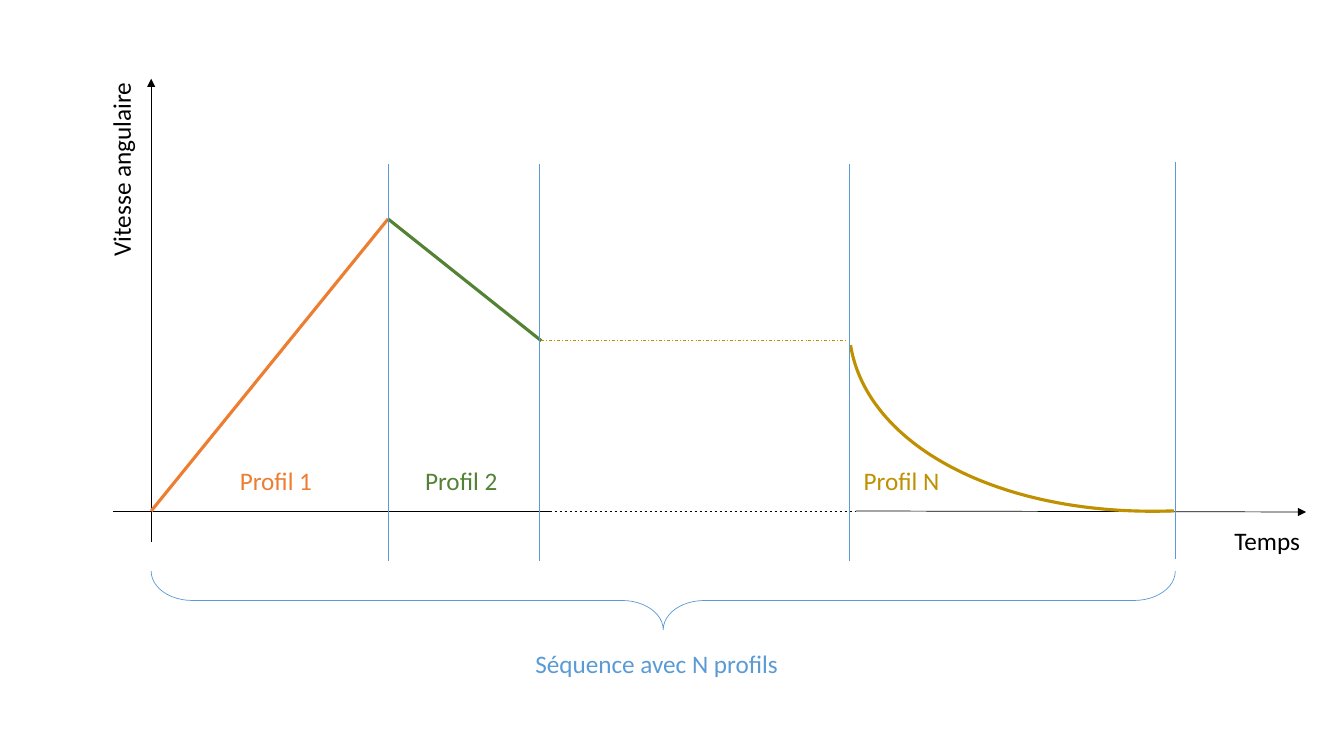
from collections import namedtuple
from pptx import Presentation
from pptx.dml.color import RGBColor
from pptx.enum.dml import MSO_LINE
from pptx.enum.shapes import MSO_CONNECTOR, MSO_SHAPE
from pptx.enum.text import MSO_ANCHOR, PP_ALIGN
from pptx.oxml.ns import qn
from pptx.util import Pt
from lxml.etree import SubElement

COLORS = {"ink": "000000", "first": "ED7D31", "second": "548235",
          "last": "BF9000", "sequence": "5B9BD5"}
THIN, THICK = 0.5, 2.25
LABEL_HEIGHT = 28.8

Box = namedtuple("Box", "left top width height")


def style_line(line, color, weight, dash=None):
    """Set the colour, weight and dash of a line."""
    line.color.rgb = RGBColor.from_string(COLORS[color])
    line.width = Pt(weight)
    if dash is not None:
        line.dash_style = dash


def add_line(slide, start, end, color="ink", weight=THIN, dash=None, arrow=False):
    """Draw a straight line, with an arrowhead at its end if asked."""
    segment = slide.shapes.add_connector(
        MSO_CONNECTOR.STRAIGHT, *(Pt(value) for value in (*start, *end)))
    style_line(segment.line, color, weight, dash)
    if arrow:
        SubElement(segment.line._get_or_add_ln(), qn("a:tailEnd"), type="triangle")
    SubElement(segment._element.spPr, qn("a:effectLst"))


def add_outline(slide, preset, box, color, weight, rotation, adjustments):
    """Draw an unfilled, rotated preset shape."""
    outline = slide.shapes.add_shape(preset, *(Pt(value) for value in box))
    outline.shadow.inherit = False
    outline.fill.background()
    outline.rotation = rotation
    for index, value in enumerate(adjustments):
        outline.adjustments[index] = value
    style_line(outline.line, color, weight)


def add_text(slide, text, box, color="ink", align=PP_ALIGN.LEFT, rotation=0, size=18):
    """Write one line of text in a box."""
    label = slide.shapes.add_textbox(*(Pt(value) for value in box))
    label.rotation = rotation
    frame = label.text_frame
    frame.word_wrap = True
    frame.vertical_anchor = MSO_ANCHOR.TOP
    paragraph = frame.paragraphs[0]
    paragraph.alignment = align
    run = paragraph.add_run()
    run.text = text
    run.font.name = "Calibri"
    run.font.size = Pt(size)
    run.font.color.rgb = RGBColor.from_string(COLORS[color])


def draw_axes(slide, plot, gap_start, gap_end):
    """Draw the speed and time axes; time is dashed across the gap."""
    base, right = plot.top + plot.height, plot.left + plot.width
    add_line(slide, (plot.left, base + 22), (plot.left, plot.top), arrow=True)
    add_line(slide, (plot.left - 27.4, base), (gap_start, base))
    add_line(slide, (gap_start, base), (gap_end, base), dash=MSO_LINE.DASH)
    add_line(slide, (gap_end, base), (right, base + 0.7), arrow=True)
    add_text(slide, "Temps", Box(right - 58.3, base + 7, 63.4, LABEL_HEIGHT))
    add_text(slide, "Vitesse angulaire",
             Box(plot.left - 108, plot.top + 33.2, 172.8, LABEL_HEIGHT), rotation=270)


def draw_profiles(slide, plot, bounds):
    """Draw the speed curve and the name of each profile."""
    base = plot.top + plot.height
    peak_time, dip_time, last_time = bounds[:3]
    peak = (peak_time, plot.top + 100.2)
    dip = (dip_time + 1.2, plot.top + 187.2)
    add_line(slide, (plot.left, base), peak, "first", THICK)
    add_line(slide, peak, dip, "second", THICK)
    add_line(slide, dip, (last_time - 3, dip[1]), "last", dash=MSO_LINE.DASH_DOT)
    add_outline(slide, MSO_SHAPE.ARC, Box(last_time - 2, plot.top + 2.9, 504, 303.8),
                "last", THICK, 172.5, (170.614, 215.645))
    names = (("Profil 1", "first", plot.left + 56.2),
             ("Profil 2", "second", peak_time + 19.4),
             ("Profil N", "last", last_time + 2.9))
    for name, color, left in names:
        add_text(slide, name, Box(left, base - 36, 80, LABEL_HEIGHT), color)


def draw_dividers(slide, plot, bounds):
    """Draw an upright line where each profile ends."""
    for time in bounds:
        lift = 2 if time == bounds[-1] else 0
        add_line(slide, (time, plot.top + 61.2 - lift),
                 (time, plot.top + plot.height + 36 - lift), "sequence")


def draw_sequence(slide, box):
    """Draw the brace that fills the box, and its caption below."""
    middle = box.left + box.width / 2
    upright = Box(middle - box.height / 2, box.top + (box.height - box.width) / 2,
                  box.height, box.width)
    add_outline(slide, MSO_SHAPE.LEFT_BRACE, upright, "sequence", THIN, 270, (0.704, 0.5))
    add_text(slide, "Séquence avec N profils",
             Box(middle - 123.2, box.top + box.height + 9.6, 237, LABEL_HEIGHT),
             "sequence", PP_ALIGN.CENTER)


def build_speed_slide(deck):
    """Add the slide of angular speed over time."""
    slide = deck.slides.add_slide(deck.slide_layouts[6])
    plot = Box(108, 56.2, 825, 308.8)
    bounds = [plot.left + offset for offset in (169.2, 277.4, 499, 731.5)]
    draw_axes(slide, plot, bounds[1] + 7.2, bounds[2] + 4.3)
    draw_profiles(slide, plot, bounds)
    draw_dividers(slide, plot, bounds)
    draw_sequence(slide, Box(plot.left, 408, bounds[-1] - plot.left, 41.8))


deck = Presentation()
deck.slide_width, deck.slide_height = Pt(960), Pt(540)
build_speed_slide(deck)
deck.save("out.pptx")
